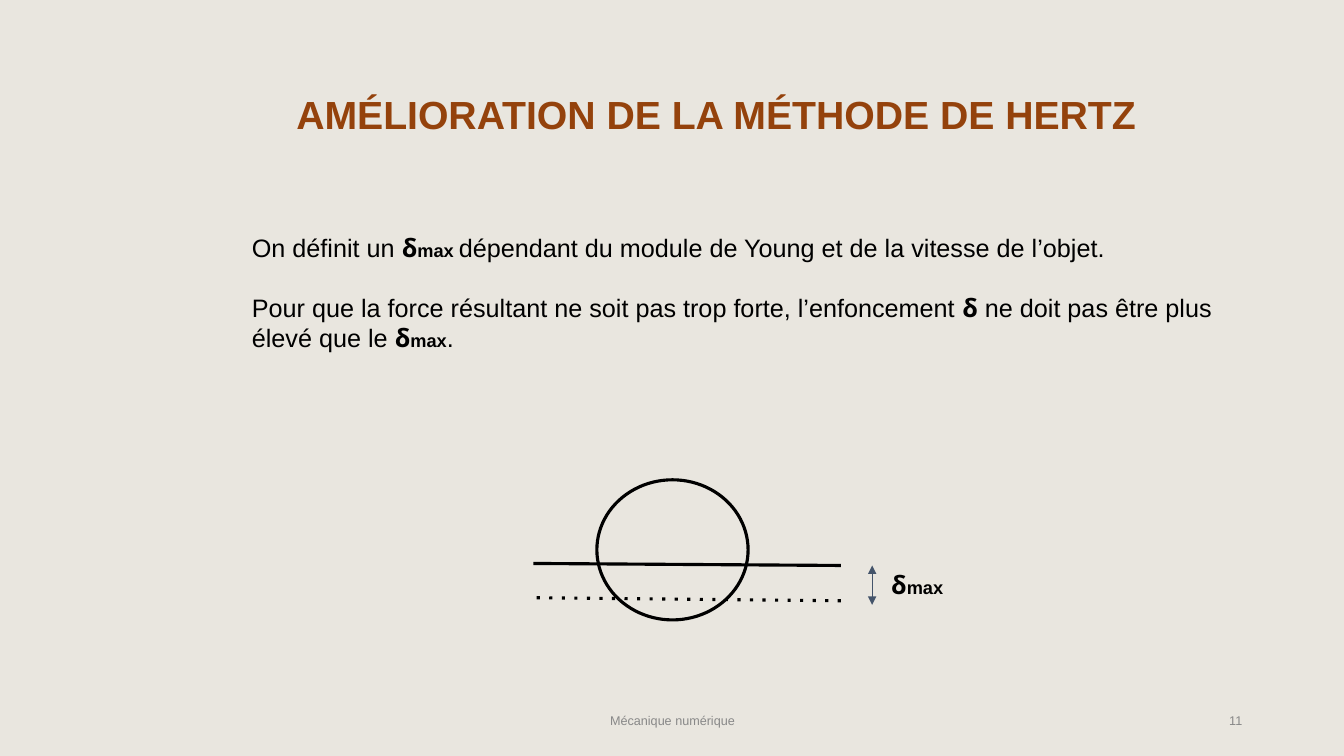
from lxml import etree
from pptx import Presentation
from pptx.dml.color import RGBColor
from pptx.enum.shapes import MSO_CONNECTOR, MSO_SHAPE
from pptx.enum.text import MSO_ANCHOR, PP_ALIGN
from pptx.oxml.ns import qn
from pptx.util import Inches, Pt

BACKGROUND = RGBColor(0xE9, 0xE6, 0xDF)
RUST = RGBColor(0x94, 0x42, 0x0C)
GREY = RGBColor(0x88, 0x88, 0x88)
BLACK = RGBColor(0, 0, 0)
SLATE = RGBColor(0x44, 0x54, 0x6A)
FONT = "Arial"
LEFT, CENTER, RIGHT = PP_ALIGN.LEFT, PP_ALIGN.CENTER, PP_ALIGN.RIGHT
TOP, MIDDLE = MSO_ANCHOR.TOP, MSO_ANCHOR.MIDDLE
OVAL, STRAIGHT = MSO_SHAPE.OVAL, MSO_CONNECTOR.STRAIGHT


def add_text(s, box, paragraphs, color=BLACK, align=LEFT, anchor=TOP):
    """Add a text box; each paragraph is a list of (text, size, bold) runs."""
    tf = s.shapes.add_textbox(*map(Inches, box)).text_frame
    tf.word_wrap = True
    tf.vertical_anchor = anchor
    for i, runs in enumerate(paragraphs):
        p = tf.add_paragraph() if i else tf.paragraphs[0]
        p.alignment = align
        for text, size, bold in runs:
            r = p.add_run()
            r.text = text
            r.font.name = FONT
            r.font.size = Pt(size)
            r.font.bold = bold
            r.font.color.rgb = color
    return tf


def add_line(s, start, end, color=BLACK, width=2.25, dash=None, arrows=False):
    """Draw a straight line, optionally dashed or with an arrowhead at each end."""
    line = s.shapes.add_connector(STRAIGHT, *map(Inches, start + end))
    line.line.color.rgb = color
    line.line.width = Pt(width)
    ln = line.line._get_or_add_ln()
    if dash:
        etree.SubElement(ln, qn("a:prstDash")).set("val", dash)
    if arrows:
        for tag in ("a:headEnd", "a:tailEnd"):
            etree.SubElement(ln, qn(tag)).set("type", "triangle")
    etree.SubElement(line._element.spPr, qn("a:effectLst"))


def add_title(s, box):
    """Add the slide title."""
    runs = [("AMÉLIORATION DE LA MÉTHODE DE HERTZ", 28, True)]
    tf = add_text(s, box, [runs], RUST, anchor=MIDDLE)
    tf.paragraphs[0].line_spacing = 0.9


def add_definition(s, box):
    """Add the two paragraphs that define the maximum indentation."""
    tf = add_text(s, box, [
        [("On définit un ", 18, False), ("ẟ", 18, True), ("max ", 13, True),
         ("dépendant du module de Young et de la vitesse de l’objet.", 18, False)],
        [("Pour que la force résultant ne soit pas trop forte, l’enfoncement ", 18, False),
         ("ẟ ", 18, True), ("ne doit pas être plus élevé que le ", 18, False),
         ("ẟ", 18, True), ("max", 13, True), (".", 18, False)],
    ])
    tf.paragraphs[1].space_before = Pt(21)


def add_diagram(s, box):
    """Draw the ball sinking through the surface, with its depth limit."""
    x, y, w, h = box
    ball = s.shapes.add_shape(OVAL, *map(Inches, (x + 0.63, y, 1.5, h)))
    ball.shadow.inherit = False
    ball.fill.background()
    ball.line.color.rgb = BLACK
    ball.line.width = Pt(2.25)
    add_line(s, (x + 3.05, y + 0.85), (x, y + 0.83))
    add_line(s, (x + 3.05, y + 1.2), (x, y + 1.17), dash="dot")
    add_line(s, (x + 3.36, y + 0.85), (x + 3.36, y + 1.24), SLATE, 0.75, arrows=True)
    label = (x + w - 0.98, y + 0.79, 0.98, 0.5)
    tf = add_text(s, label, [[("ẟ", 18, True), ("max", 13, True)]])
    tf.margin_top = tf.margin_bottom = Inches(0.1)


def add_footer(s, box):
    """Add the centred course name and the slide number at the right."""
    x, y, w, h = box
    add_text(s, (x, y, 4.5, h), [[("Mécanique numérique", 9, False)]], GREY, CENTER, MIDDLE)
    add_text(s, (x + w - 3, y, 3, h), [[("11", 9, False)]], GREY, RIGHT, MIDDLE)


def main():
    """Build and save the slide."""
    prs = Presentation()
    prs.slide_width, prs.slide_height = Inches(13.33), Inches(7.5)
    s = prs.slides.add_slide(prs.slide_layouts[6])
    s.background.fill.solid()
    s.background.fill.fore_color.rgb = BACKGROUND
    add_title(s, (2.84, 0.43, 9.21, 1.45))
    add_definition(s, (2.4, 2.26, 10.26, 1.62))
    add_diagram(s, (5.29, 4.76, 4.43, 1.39))
    add_footer(s, (4.42, 6.95, 8, 0.4))
    prs.save("out.pptx")


if __name__ == "__main__":
    main()
